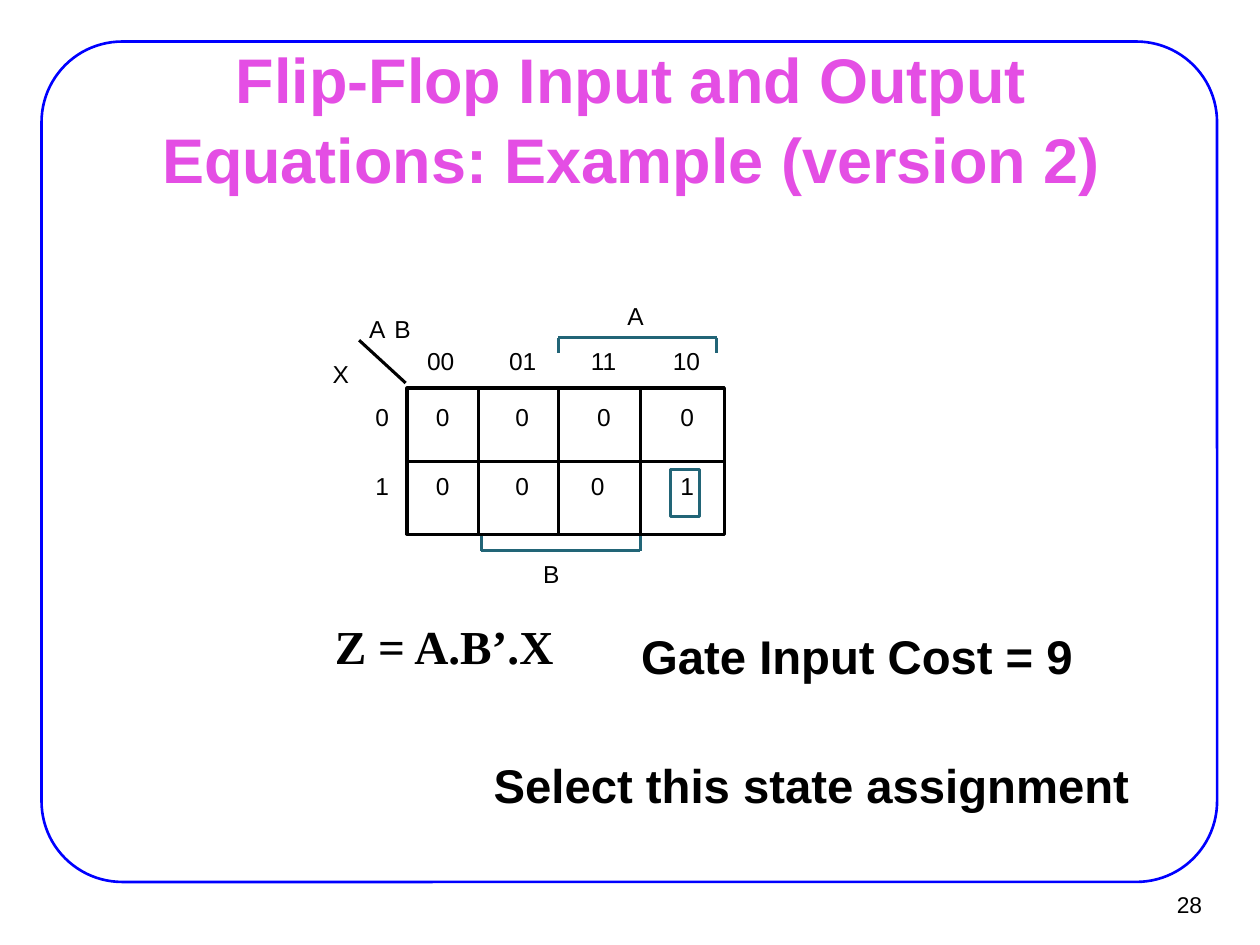
from lxml import etree
from pptx import Presentation
from pptx.dml.color import RGBColor
from pptx.enum.shapes import MSO_CONNECTOR as Connector, MSO_SHAPE as Shape
from pptx.enum.text import MSO_ANCHOR as Anchor, MSO_AUTO_SIZE as AutoSize, PP_ALIGN as Align
from pptx.oxml.ns import qn
from pptx.util import Inches, Pt

BLACK, BLUE, TEAL, PINK = "000000", "0000FF", "226577", "E44EE4"
MAP_LEFT, MAP_TOP, MAP_WIDTH, MAP_HEIGHT = 3.23, 3.08, 2.52, 1.16
DIVIDERS = (3.8, 4.43, 5.08)
ROW_TOPS = (3.19, 3.74)


def color(hex_string):
    """Return the colour for a hex string."""
    return RGBColor.from_string(hex_string)


def fill_text(shape, text, size=14, font="Arial", ink=BLACK, bold=False,
              align=Align.LEFT, anchor=Anchor.TOP, insets=(0, 0), spacing=None):
    """Put formatted text into a shape."""
    frame = shape.text_frame
    frame.auto_size = AutoSize.NONE
    frame.word_wrap = True
    frame.vertical_anchor = anchor
    frame.margin_left = frame.margin_right = Inches(insets[0])
    frame.margin_top = frame.margin_bottom = Inches(insets[1])
    paragraph = frame.paragraphs[0]
    paragraph.alignment = align
    paragraph.line_spacing = spacing
    run = paragraph.add_run()
    run.text = text
    run.font.size = Pt(size)
    run.font.name = font
    run.font.bold = bold
    run.font.color.rgb = color(ink)


def add_text(slide, text, left, top, width=0.18, height=0.23, **text_format):
    """Add a text box."""
    box = slide.shapes.add_textbox(Inches(left), Inches(top), Inches(width), Inches(height))
    fill_text(box, text, **text_format)


def add_outline(slide, kind, left, top, width, height, ink, weight=1.75):
    """Add an unfilled preset shape."""
    shape = slide.shapes.add_shape(
        kind, Inches(left), Inches(top), Inches(width), Inches(height))
    shape.shadow.inherit = False
    shape.fill.background()
    shape.line.color.rgb = color(ink)
    shape.line.width = Pt(weight)
    return shape


def add_line(slide, start, end, ink=BLACK):
    """Add a straight line between two points."""
    line = slide.shapes.add_connector(
        Connector.STRAIGHT, *(Inches(value) for value in (*start, *end)))
    line.line.color.rgb = color(ink)
    line.line.width = Pt(1.75)
    etree.SubElement(line._element.spPr, qn("a:effectLst"))
    return line


def add_bracket(slide, left, right, bar, tip):
    """Add a bracket with its bar at one height and its tips at another."""
    corners = ((left, tip), (left, bar), (right, bar), (right, tip))
    for start, end in zip(corners, corners[1:]):
        add_line(slide, start, end, TEAL)


def add_title(slide):
    """Place and format the title."""
    title = slide.shapes.title
    title.left, title.top = Inches(0.76), Inches(0.68)
    title.width, title.height = Inches(8.5), Inches(0.49)
    fill_text(title, "Flip-Flop Input and Output Equations: Example (version 2)",
              size=36, ink=PINK, bold=True, align=Align.CENTER,
              anchor=Anchor.MIDDLE, insets=(0.11, 0.06), spacing=1.05)


def add_map_grid(slide):
    """Draw the Karnaugh map with its brackets."""
    grid = add_outline(slide, Shape.RECTANGLE, MAP_LEFT, MAP_TOP, MAP_WIDTH, MAP_HEIGHT, BLACK)
    middle = MAP_TOP + MAP_HEIGHT / 2
    row_line = add_line(slide, (MAP_LEFT, middle), (MAP_LEFT + MAP_WIDTH, middle))
    row_line.begin_connect(grid, 1)
    row_line.end_connect(grid, 3)
    for x in DIVIDERS:
        add_line(slide, (x, MAP_TOP), (x, MAP_TOP + MAP_HEIGHT))
    add_line(slide, (3.22, 3.04), (2.85, 2.7))
    add_bracket(slide, 3.82, 5.08, bar=4.37, tip=4.25)
    add_bracket(slide, 4.43, 5.69, bar=2.68, tip=2.8)


def add_map_labels(slide):
    """Write the variables, codes and cell values of the map."""
    variables = (("A", 2.93, 2.49), ("B", 3.13, 2.49), ("X", 2.64, 2.85),
                 ("A", 4.98, 2.39), ("B", 4.31, 4.44))
    for name, left, top in variables:
        add_text(slide, name, left, top)
    for column, code in enumerate(("00", "01", "11", "10")):
        add_text(slide, code, 3.39 + 0.65 * column, 2.75, width=0.27)
    rows = (("0", "0000", (3.46, 4.09, 4.74, 5.4)),
            ("1", "0001", (3.46, 4.09, 4.69, 5.4)))
    for top, (code, values, lefts) in zip(ROW_TOPS, rows):
        add_text(slide, code, 2.98, top, width=0.16)
        for value, left in zip(values, lefts):
            add_text(slide, value, left, top, width=0.16)
    add_outline(slide, Shape.RECTANGLE, 5.32, 3.73, 0.23, 0.37, TEAL)


def add_conclusions(slide):
    """Write the equation, its cost and the decision."""
    lines = (("Z = A.B’.X", 2.56, 4.85, 3.7, "Times New Roman"),
             ("Gate Input Cost = 9", 4.99, 4.93, 3.63, "Arial"),
             ("Select this state assignment", 3.82, 5.95, 5.24, "Arial"))
    for text, left, top, width, font in lines:
        add_text(slide, text, left, top, width, 0.55,
                 size=27, font=font, bold=True, insets=(0.1, 0.05))


def main():
    """Build and save the slide."""
    presentation = Presentation()
    presentation.slide_width, presentation.slide_height = Inches(10), Inches(7.5)
    slide = presentation.slides.add_slide(presentation.slide_layouts[5])
    frame = add_outline(slide, Shape.ROUNDED_RECTANGLE, 0.33, 0.33, 9.33, 6.67, BLUE, 1.5)
    frame.adjustments[0] = 0.096
    add_text(slide, "28", 9.02, 6.99, 0.61, 0.37, size=13,
             align=Align.RIGHT, anchor=Anchor.MIDDLE, insets=(0.09, 0.04))
    add_title(slide)
    add_map_grid(slide)
    add_map_labels(slide)
    add_conclusions(slide)
    presentation.save("out.pptx")


if __name__ == "__main__":
    main()
